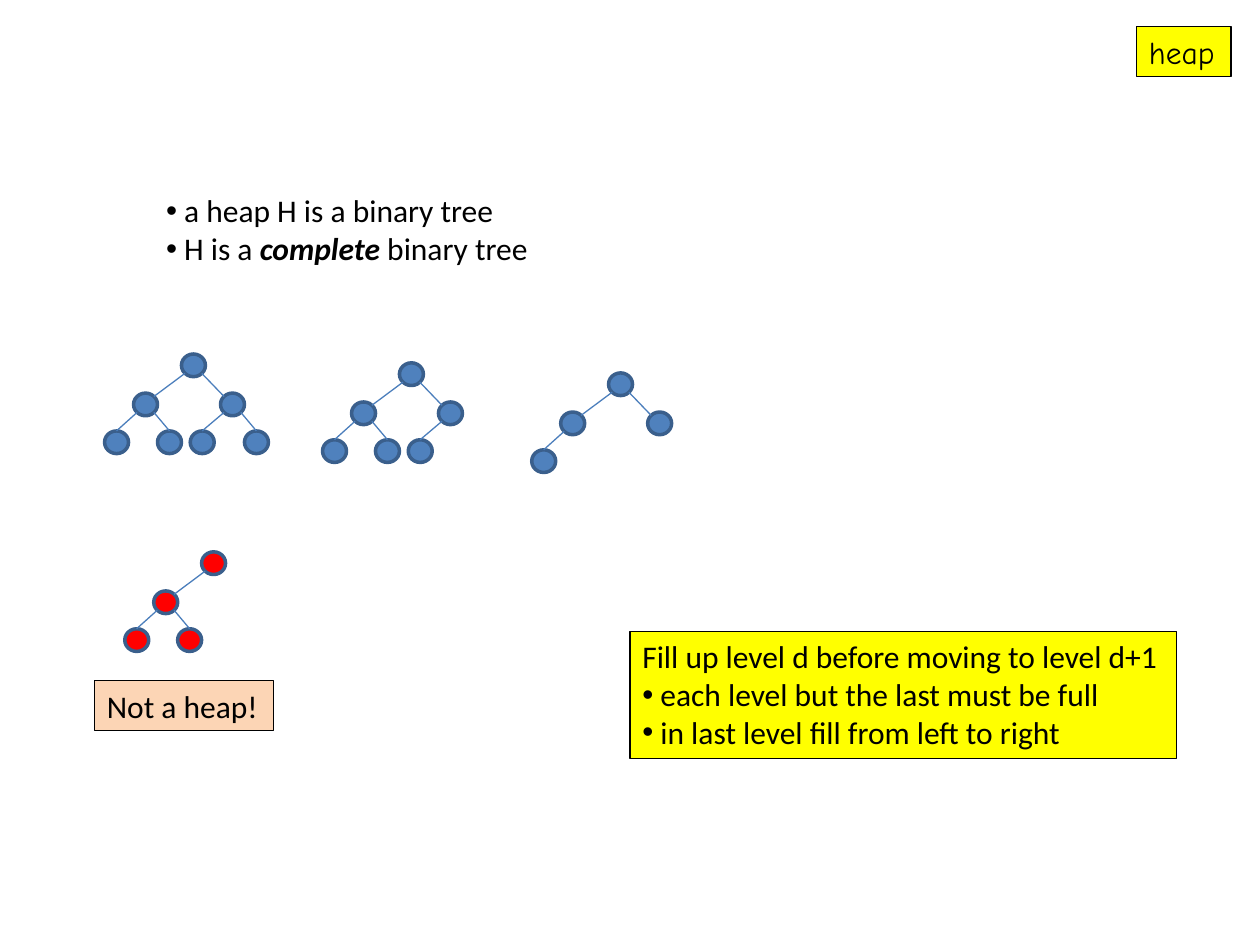
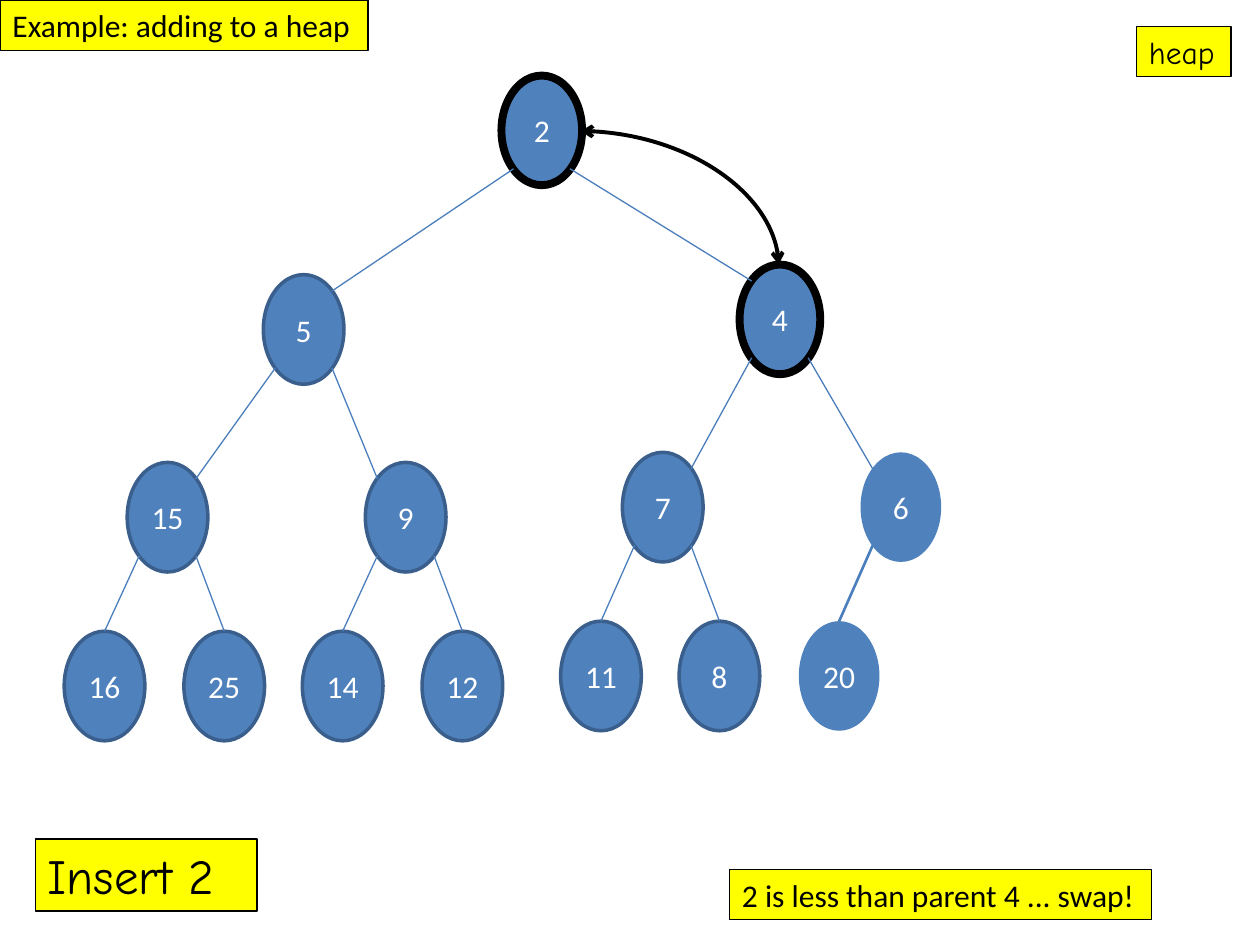
"""Build two slides about heaps: complete binary trees and adding a value."""
import lxml.etree
import pptx
import pptx.dml.color
import pptx.enum.shapes
import pptx.enum.text
import pptx.oxml.ns
import pptx.util

Inches = pptx.util.Inches
Pt = pptx.util.Pt
RGBColor = pptx.dml.color.RGBColor
qn = pptx.oxml.ns.qn
Shape = pptx.enum.shapes.MSO_SHAPE
Connector = pptx.enum.shapes.MSO_CONNECTOR

BLACK = RGBColor(0x00, 0x00, 0x00)
WHITE = RGBColor(0xFF, 0xFF, 0xFF)
YELLOW = RGBColor(0xFF, 0xFF, 0x00)
PEACH = RGBColor(0xFC, 0xD5, 0xB5)
RED = RGBColor(0xFF, 0x00, 0x00)
BLUE = RGBColor(0x4F, 0x81, 0xBD)
DARK_BLUE = RGBColor(0x3A, 0x5F, 0x8C)
EDGE_BLUE = RGBColor(0x4B, 0x7E, 0xBC)
BODY_FONT = "Calibri"
HAND_FONT = "Comic Neue"
BULLET = "\u2022"
CORNER = 0.15

SMALL_NODE = (0.19, 0.18)
SMALL_OFFSETS = [(0, 0), (-0.38, 0.31), (0.31, 0.31), (-0.61, 0.61),
                 (-0.19, 0.61), (0.07, 0.61), (0.5, 0.61)]
SMALL_TREES = [
    ((1.44, 2.81), range(7), BLUE),
    ((3.17, 2.88), range(6), BLUE),
    ((4.83, 2.96), range(4), BLUE),
    ((1.6, 4.38), (0, 1, 3, 4), RED),
]

BIG_NODE = (0.64, 0.87)
HEAP_VALUES = [2, 5, 4, 15, 9, 7, 6, 16, 25, 14, 12, 11, 8, 20]
HEAP_LEFTS = [3.98, 2.09, 5.87, 1.01, 2.9, 4.94, 6.83,
              0.51, 1.46, 2.4, 3.35, 4.45, 5.39, 6.34]
LEFT_TOPS = [0.6, 2.18, 3.67, 5.01]
RIGHT_TOPS = [0.6, 2.1, 3.59, 4.93]
SWAPPED = (2, 4)
INSERT_ROUTE = (6, 20)

HEAP_FACTS = [[BULLET, " a heap H is a binary tree "],
              [BULLET, " H is a ", "*complete", " binary tree"]]
FILL_RULES = [["", "Fill up level d before moving to level d+1"],
              [BULLET, " each level but the last must be full"],
              [BULLET, " in last level fill from left to right"]]


def add_element(parent, tag, **attributes):
    return lxml.etree.SubElement(parent, qn(tag), **attributes)


def add_label(page, place, lines, fill=YELLOW, font=BODY_FONT, size=18):
    box = page.shapes.add_textbox(*map(Inches, place))
    frame = box.text_frame
    frame.word_wrap = False
    frame.auto_size = pptx.enum.text.MSO_AUTO_SIZE.SHAPE_TO_FIT_TEXT
    if fill is not None:
        box.fill.solid()
        box.fill.fore_color.rgb = fill
        box.line.color.rgb = BLACK
        box.line.width = Pt(0.75)
    for number, (bullet, *pieces) in enumerate(lines):
        para = frame.add_paragraph() if number else frame.paragraphs[0]
        if bullet:
            properties = para._p.get_or_add_pPr()
            add_element(properties, "a:buFont", typeface="Arial")
            add_element(properties, "a:buChar", char=bullet)
        for piece in pieces:
            span = para.add_run()
            span.text = piece.lstrip("*")
            span.font.name = font
            span.font.size = Pt(size)
            span.font.color.rgb = BLACK
            if piece.startswith("*"):
                span.font.bold = span.font.italic = True


def add_node(shapes, place, size, fill, line, width, label=""):
    node = shapes.add_shape(Shape.OVAL, *map(Inches, place + size))
    node.shadow.inherit = False
    node.fill.solid()
    node.fill.fore_color.rgb = fill
    if line is None:
        node.line.fill.background()
    else:
        node.line.color.rgb = line
        node.line.width = Pt(width)
    if label:
        frame = node.text_frame
        frame.text = label
        frame.vertical_anchor = pptx.enum.text.MSO_ANCHOR.MIDDLE
        para = frame.paragraphs[0]
        para.alignment = pptx.enum.text.PP_ALIGN.CENTER
        span = para.runs[0]
        span.font.name = BODY_FONT
        span.font.size = Pt(18)
        span.font.color.rgb = WHITE


def add_line(shapes, start, end, color, width, kind=Connector.STRAIGHT):
    line = shapes.add_connector(kind, *map(Inches, start + end))
    line.line.color.rgb = color
    line.line.width = Pt(width)
    add_element(line._element.spPr, "a:effectLst")
    return line


def add_edge(shapes, places, size, child, to_top, width=0.75):
    """Join a node to its parent, from corner to corner or to the top."""
    def point(index, across, down):
        left, top = places[index]
        return left + across * size[0], top + down * size[1]

    is_left = child % 2 == 1
    near, far = (CORNER, 1 - CORNER) if is_left else (1 - CORNER, CORNER)
    start = point((child - 1) // 2, near, 1 - CORNER)
    end = point(child, 0.5, 0) if to_top else point(child, far, CORNER)
    add_line(shapes, start, end, EDGE_BLUE, width)


def add_small_tree(page, root, members, fill):
    shapes = page.shapes.add_group_shape().shapes
    places = [(root[0] + across, root[1] + down) for across, down in SMALL_OFFSETS]
    for index in members:
        add_node(shapes, places[index], SMALL_NODE, fill, DARK_BLUE, 2)
    for index in members:
        if index:
            add_edge(shapes, places, SMALL_NODE, index, index > 2)


def add_heap(page):
    places = []
    for index, left in enumerate(HEAP_LEFTS):
        level = (index + 1).bit_length() - 1
        on_right = index + 1 >= 1.5 * 2 ** level
        places.append((left, (RIGHT_TOPS if on_right else LEFT_TOPS)[level]))
    for place, value in zip(places, HEAP_VALUES):
        line, width = (BLACK, 4.5) if value in SWAPPED else (DARK_BLUE, 2)
        if value in INSERT_ROUTE:
            line = None
        add_node(page.shapes, place, BIG_NODE, BLUE, line, width, str(value))
    for index in range(1, len(places)):
        width = 1.5 if HEAP_VALUES[index] == 20 else 0.75
        add_edge(page.shapes, places, BIG_NODE, index, index > 6, width)


def add_swap_arrow(page):
    arrow = add_line(page.shapes, (4.61, 1.04), (6.18, 2.1), BLACK, 2.25, Connector.CURVE)
    properties = arrow._element.spPr
    properties.find(qn("a:prstGeom")).set("prst", "curvedConnector2")
    for tag in ("a:headEnd", "a:tailEnd"):
        add_element(properties.find(qn("a:ln")), tag, type="arrow")


def add_page(deck):
    page = deck.slides.add_slide(deck.slide_layouts[6])
    add_label(page, (9.02, 0.21, 0.75, 0.4), [["", "heap"]], font=HAND_FONT)
    return page


deck = pptx.Presentation()
deck.slide_width, deck.slide_height = Inches(10), Inches(7.5)

page = add_page(deck)
add_label(page, (1.22, 1.47, 3.1, 0.71), HEAP_FACTS, fill=None)
for tree in SMALL_TREES:
    add_small_tree(page, *tree)
add_label(page, (5, 5.01, 4.34, 1.01), FILL_RULES)
add_label(page, (0.75, 5.4, 1.42, 0.4), [["", "Not a heap!"]], fill=PEACH)

page = add_page(deck)
add_label(page, (0, 0, 2.92, 0.4), [["", "Example: adding to a heap"]])
add_heap(page)
add_label(page, (0.28, 6.66, 1.76, 0.57), [["", "Insert 2"]], font=HAND_FONT, size=28)
add_label(page, (5.79, 6.9, 3.35, 0.4), [["", "2 is less than parent 4 ... swap!"]])
add_swap_arrow(page)

deck.save("out.pptx")
